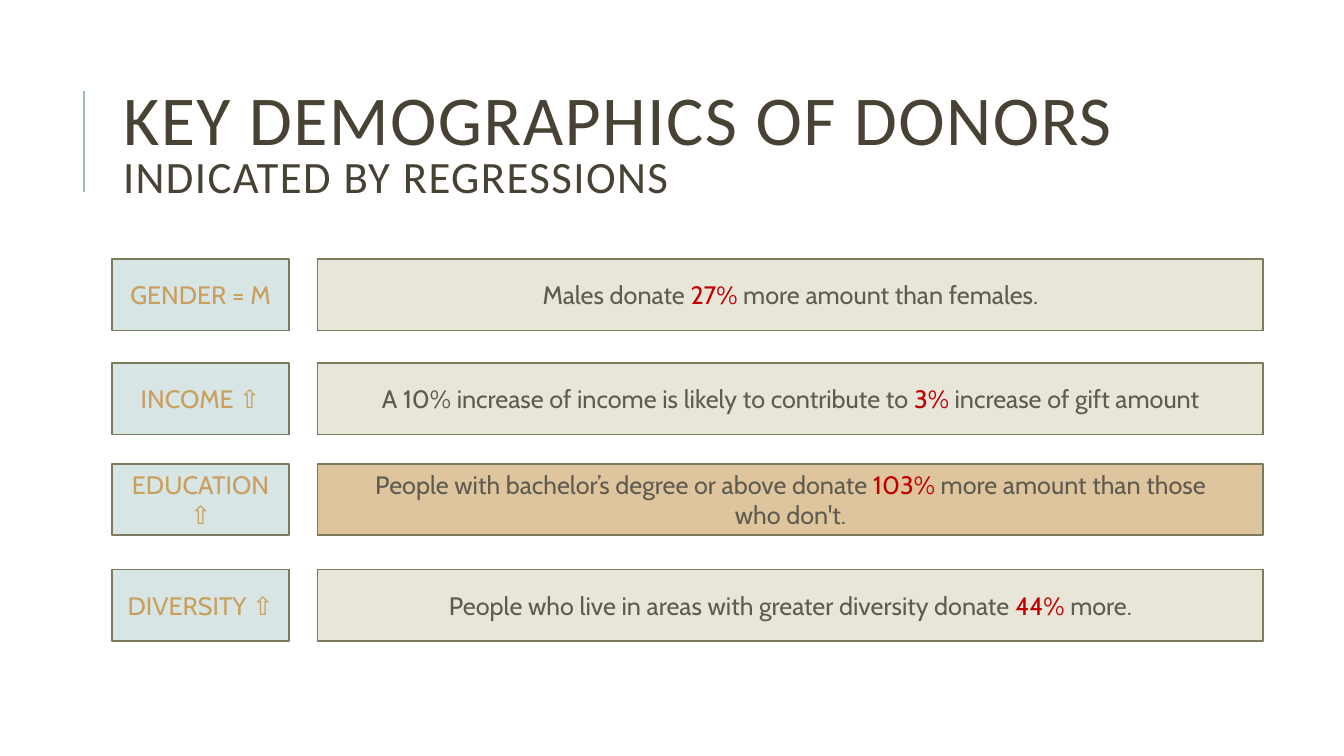
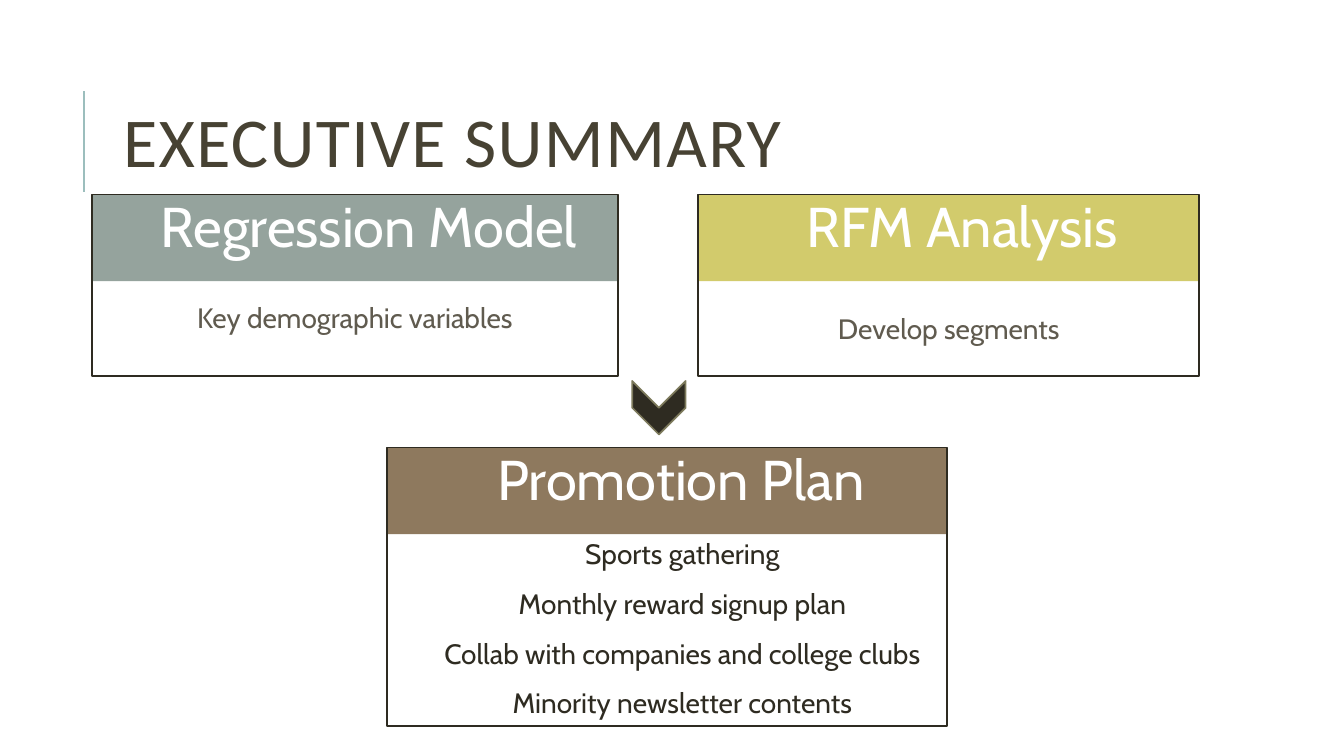
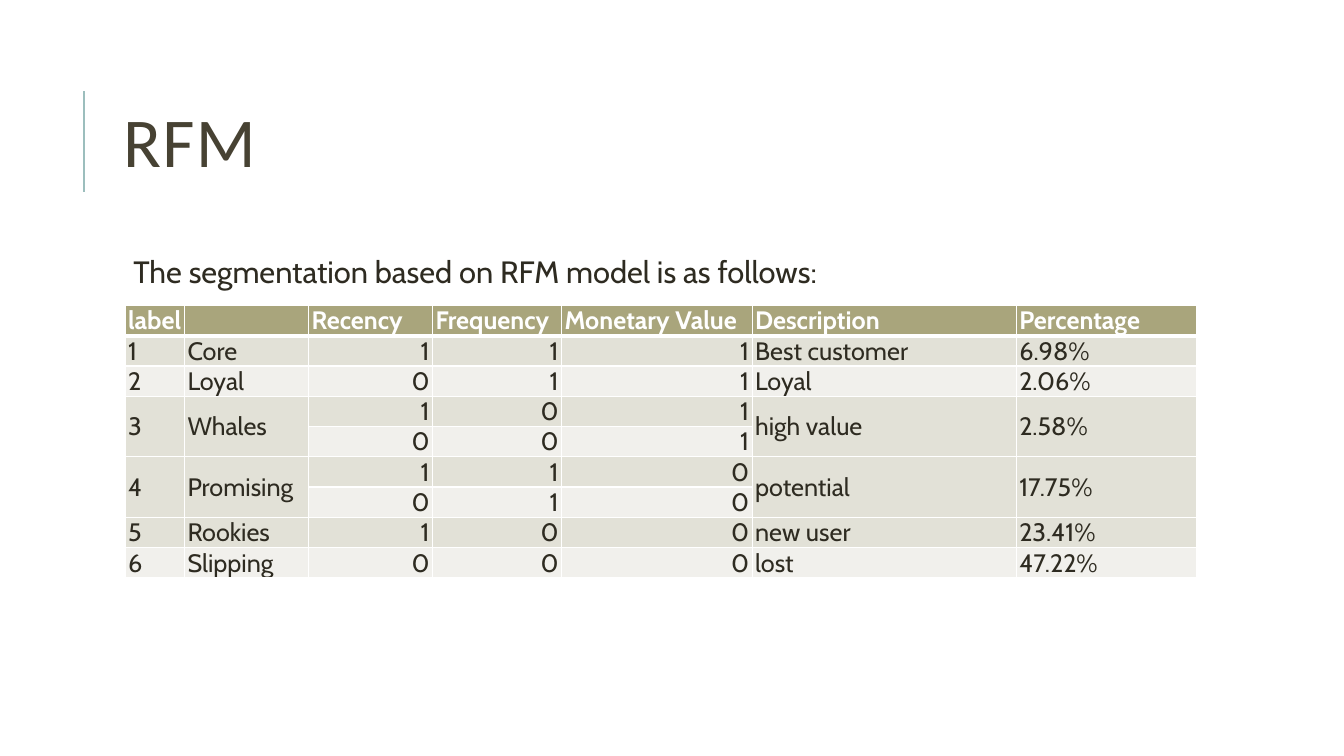
from lxml.etree import SubElement
from pptx import Presentation
from pptx.dml.color import RGBColor
from pptx.enum.shapes import MSO_CONNECTOR, MSO_SHAPE
from pptx.enum.text import MSO_ANCHOR, MSO_AUTO_SIZE, PP_ALIGN
from pptx.oxml import parse_xml
from pptx.oxml.ns import nsdecls, qn
from pptx.util import Inches, Pt

COLORS = {
    "title": "474233", "accent": "9CBEBD", "dark": "2E2B21", "text": "605B4F",
    "edge": "7D7A5C", "white": "FFFFFF", "red": "C00000", "gold": "C89F5D",
    "label": "D7E5E5", "finding": "E8E6D8", "highlight": "DEC59E",
    "sage": "95A39D", "lime": "D2CB6C", "brown": "8E795E",
    "header": "A9A57C", "odd": "E2E1D7", "even": "F1F0EC",
}
BODY_FONT, TITLE_FONT = "Cabin", "Calibri"
NBSP = chr(160)

# top, label, (before, figure, after), fill
FINDINGS = [
    (2.57, "GENDER = M", ("Males donate ", "27%", " more amount than females."), "finding"),
    (3.6, "INCOME ⇧", ("A 10% increase of income is likely to contribute to ", "3%",
                       " increase of gift amount"), "finding"),
    (4.6, "EDUCATION ⇧", ("People with bachelor’s degree or above donate ", "103%" + NBSP,
                          f"more amount than{NBSP}those who{NBSP}don't."), "highlight"),
    (5.65, "DIVERSITY ⇧", ("People who live in areas with greater diversity donate ", "44%",
                           " more."), "finding"),
]

# heading, fill, card (left, top, width, height), lines, text area, text colour, bulleted
CARDS = [
    ("Regression Model", "sage", (0.91, 1.93, 5.22, 1.8),
     ["Key demographic variables"], (1.2, 2.97, 4.64, 0.7), "text", False),
    ("RFM Analysis", "lime", (6.92, 1.93, 4.97, 1.8),
     ["Develop segments"], (7.09, 3.08, 4.64, 0.6), "text", False),
    ("Promotion Plan", "brown", (3.84, 4.44, 5.55, 2.76),
     ["Sports gathering", "Monthly reward signup plan",
      "Collab with companies and college clubs", "Minority newsletter contents"],
     (4, 5.31, 5.4, 1.89), "dark", True),
]
HEADING_HEIGHT = 0.86

# None continues the cell above
SEGMENTS = [
    ("label", "", "Recency", "Frequency", "Monetary Value", "Description", "Percentage"),
    ("1", "Core", "1", "1", "1", "Best customer", "6.98%"),
    ("2", "Loyal", "0", "1", "1", "Loyal", "2.06%"),
    ("3", "Whales", "1", "0", "1", "high value", "2.58%"),
    (None, None, "0", "0", "1", None, None),
    ("4", "Promising", "1", "1", "0", "potential", "17.75%"),
    (None, None, "0", "1", "0", None, None),
    ("5", "Rookies", "1", "0", "0", "new user", "23.41%"),
    ("6", "Slipping", "0", "0", "0", "lost", "47.22%"),
]
COLUMN_WIDTHS = [0.59, 1.23, 1.23, 1.28, 1.89, 2.62, 1.79]
NUMBER_COLUMNS = range(2, 5)
ROW_HEIGHT = 0.3


def color(name):
    return RGBColor.from_string(COLORS[name])


def inches(*lengths):
    return [Inches(length) for length in lengths]


def style(para, size, color_name, align=PP_ALIGN.CENTER, font=BODY_FONT, bold=False):
    para.alignment = align
    para.font.name, para.font.size, para.font.bold = font, Pt(size), bold
    para.font.color.rgb = color(color_name)


def space_out(para, bulleted):
    """Give body spacing, and the theme's blank bullet with its hanging indent."""
    para.line_spacing, para.space_before, para.space_after = 0.9, Pt(12), Pt(2)
    if bulleted:
        props = para._p.get_or_add_pPr()
        props.set("marL", str(Inches(0.1)))
        props.set("indent", str(Inches(-0.1)))
        bullet_color = parse_xml(f'<a:buClr {nsdecls("a")}><a:srgbClr val="{COLORS["accent"]}"/></a:buClr>')
        bullet = parse_xml(f'<a:buChar {nsdecls("a")} char=" "/>')
        at = props.index(props.find(qn("a:defRPr")))
        props[at:at] = [bullet_color, bullet]


def add_box(page, area, fill=None, line=None, kind=MSO_SHAPE.RECTANGLE):
    box = page.shapes.add_shape(kind, *inches(*area))
    box.shadow.inherit = False
    if fill:
        box.fill.solid()
        box.fill.fore_color.rgb = color(fill)
    else:
        box.fill.background()
    if line:
        box.line.color.rgb = color(line)
        box.line.width = Pt(1.25)
    else:
        box.line.fill.background()
    return box


def add_lines(page, area, lines, size, color_name, bulleted, align=PP_ALIGN.CENTER):
    frame = page.shapes.add_textbox(*inches(*area)).text_frame
    frame.word_wrap = True
    frame.text = "\n".join(lines)
    for para in frame.paragraphs:
        style(para, size, color_name, align)
        space_out(para, bulleted)
    return frame


def add_page(deck, heading, subheading=None):
    page = deck.slides.add_slide(deck.slide_layouts[5])
    rule = page.shapes.add_connector(MSO_CONNECTOR.STRAIGHT, *inches(0.83, 1.9, 0.83, 0.9))
    rule.line.color.rgb = color("accent")
    rule.line.width = Pt(1.5)
    SubElement(rule._element.spPr, qn("a:effectLst"))

    title = page.shapes.title
    title.left, title.top, title.width, title.height = inches(1.12, 0.64, 10.63, 1.64)
    frame = title.text_frame
    frame.auto_size = MSO_AUTO_SIZE.NONE
    frame.vertical_anchor = MSO_ANCHOR.MIDDLE
    para = frame.paragraphs[0]
    style(para, 50, "title", PP_ALIGN.LEFT, TITLE_FONT)
    para.line_spacing = 0.8
    para.add_run().text = heading
    if subheading:
        para.add_line_break()
        span = para.add_run()
        span.text = subheading
        span.font.size = Pt(32)
    for span in para.runs:
        span._r.get_or_add_rPr().set("spc", "100")
    return page


def add_findings(page):
    for top, label, parts, fill in FINDINGS:
        label_box = add_box(page, (1.11, top, 1.76, 0.71), "label", "edge")
        label_box.text_frame.text = label
        style(label_box.text_frame.paragraphs[0], 18, "gold")

        finding_box = add_box(page, (3.15, top, 9.38, 0.71), fill, "edge")
        para = finding_box.text_frame.paragraphs[0]
        style(para, 18, "text")
        for part, part_color in zip(parts, ("text", "red", "text")):
            span = para.add_run()
            span.text = part
            span.font.color.rgb = color(part_color)


def add_cards(page):
    for heading, fill, card, lines, text_area, text_color, bulleted in CARDS:
        left, top, width, _ = card
        heading_box = add_box(page, (left, top, width, HEADING_HEIGHT), fill)
        frame = heading_box.text_frame
        frame.text = heading
        frame.vertical_anchor = MSO_ANCHOR.TOP
        style(frame.paragraphs[0], 40, "white")
        space_out(frame.paragraphs[0], True)
        add_box(page, card, line="dark")
        add_lines(page, text_area, lines, 20, text_color, bulleted)
    arrow = add_box(page, (6.27, 3.78, 0.53, 0.53), "dark", "edge", MSO_SHAPE.CHEVRON)
    arrow.rotation = 90


def set_borders(cell, row):
    """Draw white cell borders, thicker between header and body."""
    widths = {"lnL": 1, "lnR": 1, "lnT": 3 if row == 1 else 1, "lnB": 3 if row == 0 else 1}
    props = cell._tc.get_or_add_tcPr()
    for position, (tag, width) in enumerate(widths.items()):
        props.insert(position, parse_xml(
            f'<a:{tag} {nsdecls("a")} w="{Pt(width)}"><a:solidFill>'
            f'<a:srgbClr val="{COLORS["white"]}"/></a:solidFill></a:{tag}>'))


def add_segments(page):
    shape = page.shapes.add_table(
        len(SEGMENTS), len(COLUMN_WIDTHS),
        *inches(1.24, 3.03, sum(COLUMN_WIDTHS), ROW_HEIGHT * len(SEGMENTS)))
    table = shape.table
    for column, width in zip(table.columns, COLUMN_WIDTHS):
        column.width = Inches(width)
    for row, values in enumerate(SEGMENTS):
        table.rows[row].height = Inches(ROW_HEIGHT)
        fill = "header" if row == 0 else "odd" if row % 2 else "even"
        for column, value in enumerate(values):
            cell = table.cell(row, column)
            cell.fill.solid()
            cell.fill.fore_color.rgb = color(fill)
            set_borders(cell, row)
            cell.vertical_anchor = MSO_ANCHOR.MIDDLE
            cell.margin_left = cell.margin_right = Inches(0.03)
            cell.margin_top = cell.margin_bottom = 0
            if value is None:
                table.cell(row - 1, column).merge(cell)
                continue
            cell.text = value
            is_number = row > 0 and column in NUMBER_COLUMNS
            style(cell.text_frame.paragraphs[0], 18, "dark" if row else "white",
                  PP_ALIGN.RIGHT if is_number else PP_ALIGN.LEFT, bold=row == 0)


def main():
    deck = Presentation()
    deck.slide_width, deck.slide_height = inches(13.33, 7.5)

    add_findings(add_page(deck, "KEY DEMOGRAPHICS OF DONORS", "INDICATED BY REGRESSIONS"))
    add_cards(add_page(deck, "EXECUTIVE SUMMARY"))

    page = add_page(deck, "RFM")
    intro = add_lines(page, (1.12, 2.5, 10.63, 0.5),
                      ["The segmentation based on RFM model is as follows:"],
                      22, "dark", True, PP_ALIGN.LEFT)
    intro.margin_left = intro.margin_right = Inches(0.05)
    add_segments(page)

    deck.save("out.pptx")


if __name__ == "__main__":
    main()
